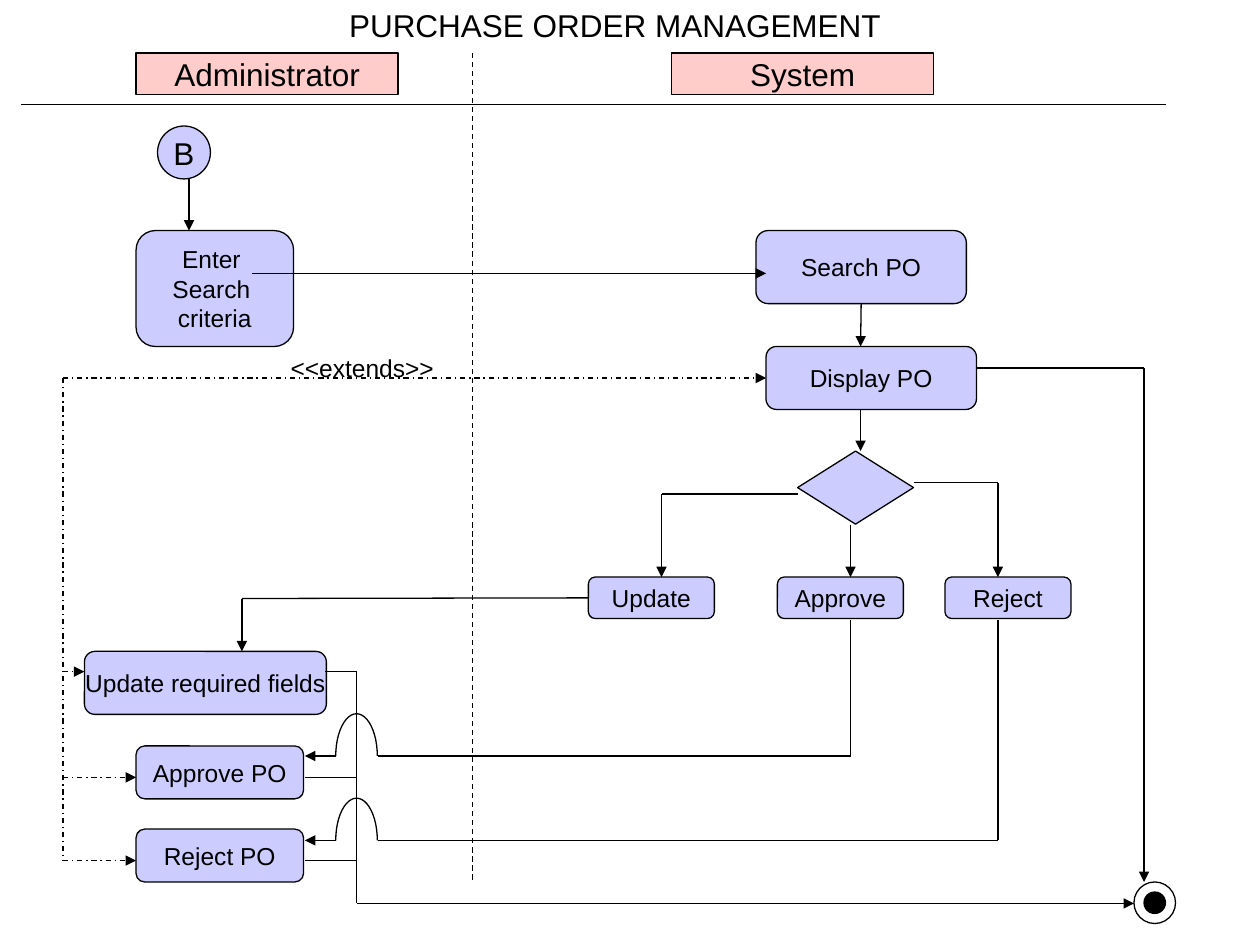
from dataclasses import dataclass
from itertools import pairwise

from lxml import etree
from pptx import Presentation
from pptx.dml.color import RGBColor
from pptx.enum.dml import MSO_LINE
from pptx.enum.shapes import MSO_CONNECTOR, MSO_SHAPE
from pptx.enum.text import MSO_ANCHOR, PP_ALIGN
from pptx.oxml.ns import qn
from pptx.util import Inches, Pt

ROUNDED, RECTANGLE = MSO_SHAPE.ROUNDED_RECTANGLE, MSO_SHAPE.RECTANGLE
OVAL, DIAMOND, ARC = MSO_SHAPE.OVAL, MSO_SHAPE.DIAMOND, MSO_SHAPE.ARC
DASH, DASH_DOT = MSO_LINE.DASH, MSO_LINE.DASH_DOT
STRAIGHT = MSO_CONNECTOR.STRAIGHT
LEFT, CENTER = PP_ALIGN.LEFT, PP_ALIGN.CENTER
TOP, MIDDLE = MSO_ANCHOR.TOP, MSO_ANCHOR.MIDDLE
LEFT_SIDE, BOTTOM_SIDE = 1, 2


@dataclass(frozen=True)
class Theme:
    font: str = "Arial"
    heading: int = 18
    label: int = 14
    ink: RGBColor = RGBColor(0, 0, 0)
    paper: RGBColor = RGBColor(255, 255, 255)
    node: RGBColor = RGBColor(0xCC, 0xCC, 0xFF)
    lane: RGBColor = RGBColor(0xFF, 0xCC, 0xCC)
    line: float = 0.75


THEME = Theme()


def write(box, text, size, align=CENTER, anchor=MIDDLE, wrap=False):
    frame = box.text_frame
    frame.text = text
    frame.word_wrap = wrap
    frame.vertical_anchor = anchor
    for para in frame.paragraphs:
        para.alignment = align
        for span in para.runs:
            span.font.name = THEME.font
            span.font.size = Pt(size)
            span.font.color.rgb = THEME.ink


def draw_line(shape, dash=None):
    shape.line.color.rgb = THEME.ink
    shape.line.width = Pt(THEME.line)
    if dash:
        shape.line.dash_style = dash


def add_node(page, kind, place, fill=THEME.node, text="", size=THEME.label):
    box = page.shapes.add_shape(kind, *map(Inches, place))
    box.shadow.inherit = False
    box.fill.solid()
    box.fill.fore_color.rgb = fill
    draw_line(box)
    if text:
        write(box, text, size)
    return box


def add_route(page, *points, arrow=True, dash=None, start=None, end=None):
    """Join the points by straight lines; start and end are (box, side) pairs."""
    lines = []
    for first, last in pairwise(points):
        line = page.shapes.add_connector(STRAIGHT, *map(Inches, first + last))
        draw_line(line, dash)
        etree.SubElement(line._element.spPr, qn("a:effectLst"))
        lines.append(line)
    if start:
        lines[0].begin_connect(*start)
    if end:
        lines[-1].end_connect(*end)
    if arrow:
        outline = lines[-1].line._get_or_add_ln()
        etree.SubElement(outline, qn("a:tailEnd"), type="triangle")


def add_hop(page, center, base):
    """Half an ellipse that carries a line over the vertical one it crosses."""
    width, height = 0.33, 0.67
    hop = page.shapes.add_shape(ARC, Inches(center - width / 2), Inches(base - height / 2),
                                Inches(width), Inches(height))
    hop.adjustments[0] = 108  # 180 degrees, in units of 100000 / 60000
    hop.adjustments[1] = 0
    hop.shadow.inherit = False
    hop.fill.background()
    draw_line(hop)


def add_title(page):
    title = page.shapes.title
    title.left, title.top, title.width, title.height = map(Inches, (2.67, 0, 4.92, 0.4))
    write(title, "PURCHASE ORDER MANAGEMENT", THEME.heading, LEFT, TOP, True)


def add_lanes(page):
    add_route(page, (3.75, 0.42), (3.75, 7), arrow=False, dash=DASH)
    add_route(page, (0.17, 0.83), (9.25, 0.83), arrow=False)
    for left, name in ((1.08, "Administrator"), (5.33, "System")):
        add_node(page, RECTANGLE, (left, 0.42, 2.08, 0.33), THEME.lane, name, THEME.heading)


def add_activities(page):
    places = {
        "Enter \nSearch \ncriteria": (1.08, 1.83, 1.25, 0.92),
        "Search PO": (6, 1.83, 1.67, 0.58),
        "Display PO": (6.08, 2.75, 1.67, 0.5),
        "Update": (4.67, 4.58, 1, 0.33),
        "Approve": (6.17, 4.58, 1, 0.33),
        "Reject": (7.5, 4.58, 1, 0.33),
        "Update required fields": (0.67, 5.17, 1.92, 0.5),
        "Approve PO": (1.08, 5.92, 1.33, 0.42),
        "Reject PO": (1.08, 6.58, 1.33, 0.42),
    }
    add_node(page, OVAL, (1.25, 1, 0.42, 0.42), text="B", size=THEME.heading)
    add_node(page, DIAMOND, (6.33, 3.58, 0.92, 0.58))
    return {name: add_node(page, ROUNDED, place, text=name) for name, place in places.items()}


def add_flow(page, boxes):
    add_route(page, (1.5, 1.42), (1.5, 1.83))
    add_route(page, (2, 2.17), (6.08, 2.17))
    add_route(page, (6.83, 2.42), (6.83, 2.75), start=(boxes["Search PO"], BOTTOM_SIDE))
    add_route(page, (6.83, 3.25), (6.83, 3.58))
    add_route(page, (7.75, 2.92), (9.08, 2.92), (9.08, 7))
    # From the decision to its three outcomes
    add_route(page, (6.33, 3.92), (5.25, 3.92), (5.25, 4.58))
    add_route(page, (6.75, 4.17), (6.75, 4.58))
    add_route(page, (7.25, 3.83), (7.92, 3.83), (7.92, 4.58))
    add_route(page, (4.67, 4.75), (1.92, 4.75), (1.92, 5.17),
              start=(boxes["Update"], LEFT_SIDE))


def add_returns(page):
    """Outcomes hop over the line that leads the administrator's steps to the end."""
    trunk = 2.83
    add_route(page, (2.58, 5.33), (trunk, 5.33), (trunk, 7.17), (9, 7.17))
    for source, base, leave in ((6.75, 6, 6.17), (7.92, 6.67, 6.83)):
        add_route(page, (source, 4.92), (source, base), (3, base), arrow=False)
        add_hop(page, trunk, base)
        add_route(page, (2.67, base), (2.42, base))
        add_route(page, (2.42, leave), (trunk, leave), arrow=False)


def add_extends(page, display):
    spine = 0.5
    add_route(page, (spine, 3), (6.08, 3), dash=DASH_DOT, end=(display, LEFT_SIDE))
    add_route(page, (spine, 3), (spine, 6.83), arrow=False, dash=DASH_DOT)
    for target, level in ((0.67, 5.33), (1.08, 6.17), (1.08, 6.83)):
        add_route(page, (spine, level), (target, level), dash=DASH_DOT)
    label = page.shapes.add_textbox(*map(Inches, (2, 2.75, 1.75, 0.34)))
    write(label, "<<extends>>", THEME.label, anchor=TOP, wrap=True)


def add_end(page):
    add_node(page, OVAL, (9, 7, 0.33, 0.33), THEME.paper)
    add_node(page, OVAL, (9.08, 7.08, 0.17, 0.17), THEME.ink)


def main():
    deck = Presentation()
    deck.slide_width, deck.slide_height = Inches(10), Inches(7.5)
    page = deck.slides.add_slide(deck.slide_layouts[5])
    add_title(page)
    add_lanes(page)
    boxes = add_activities(page)
    add_flow(page, boxes)
    add_returns(page)
    add_extends(page, boxes["Display PO"])
    add_end(page)
    deck.save("out.pptx")


if __name__ == "__main__":
    main()
